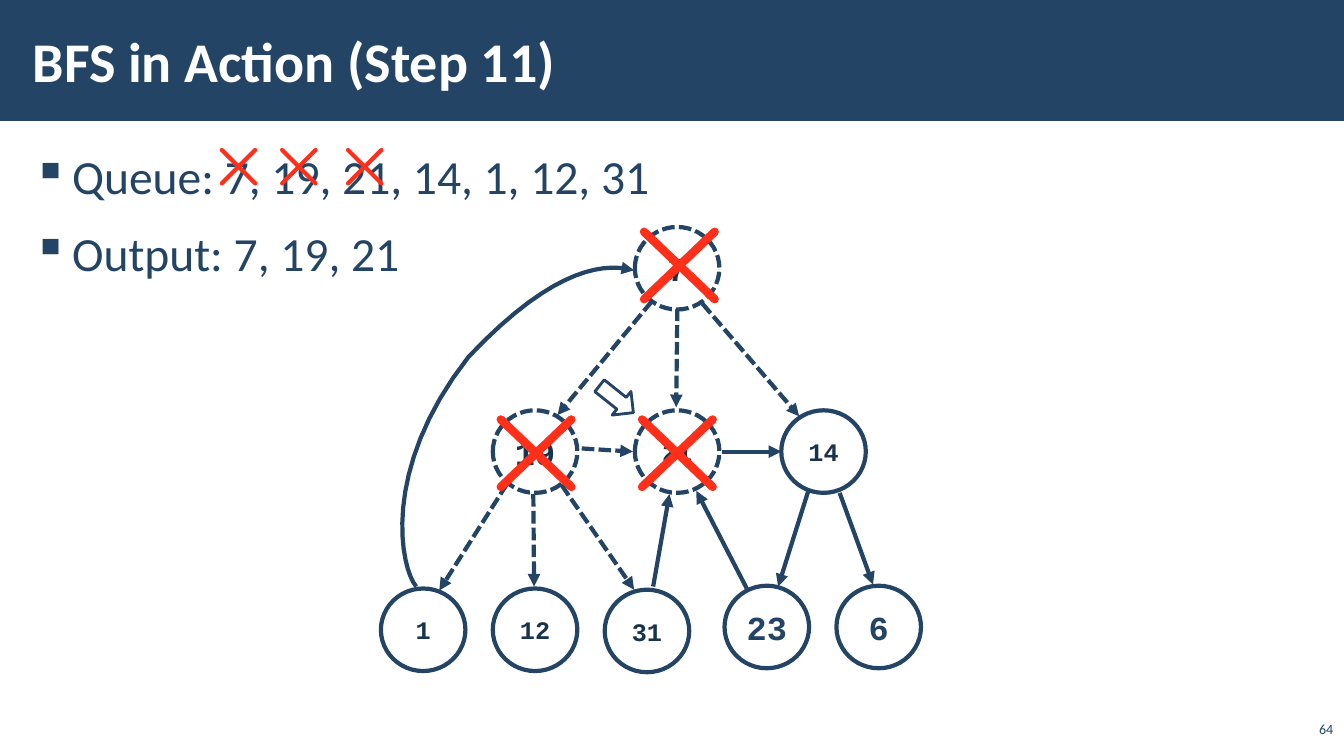
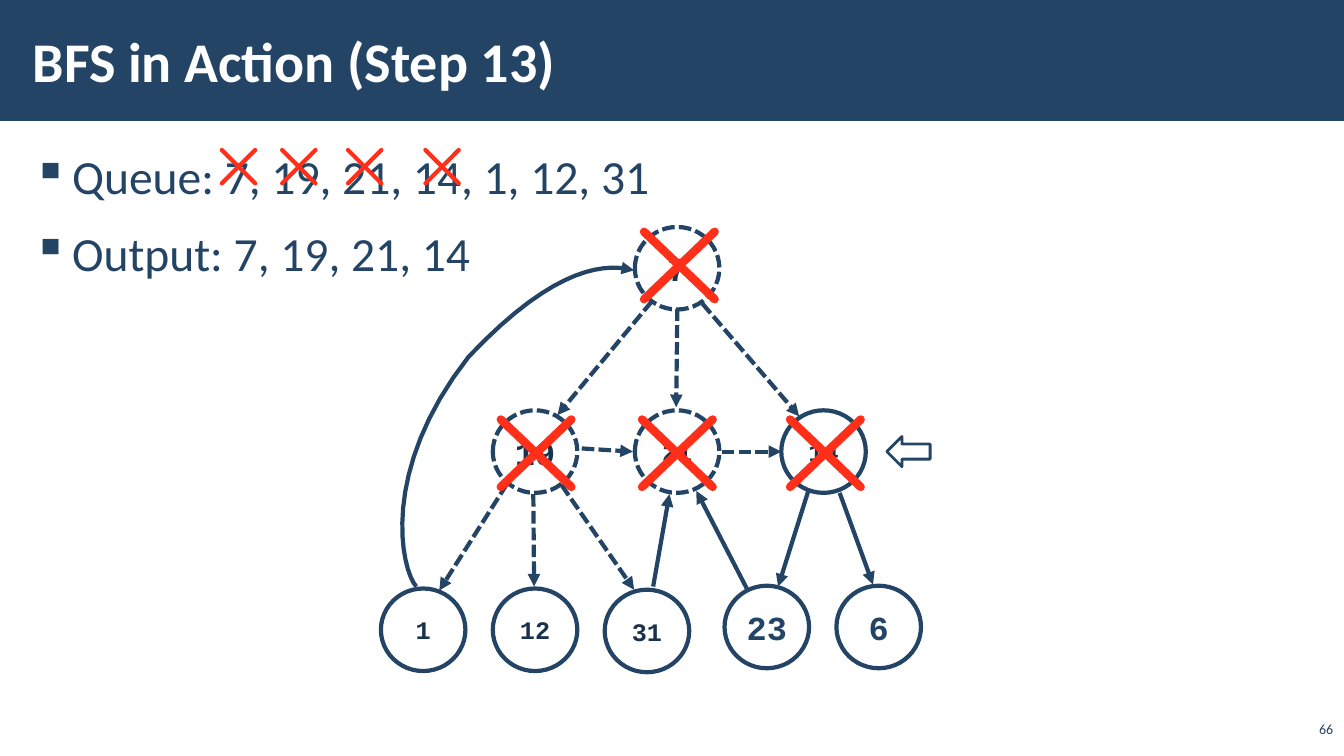
from dataclasses import dataclass

import lxml.etree
import pptx
import pptx.dml.color
import pptx.enum.dml
import pptx.enum.shapes
import pptx.enum.text
import pptx.oxml.ns
import pptx.util

Cm = pptx.util.Cm
Pt = pptx.util.Pt
qn = pptx.oxml.ns.qn
SHAPES = pptx.enum.shapes.MSO_SHAPE
ALIGN = pptx.enum.text.PP_ALIGN
ANCHOR = pptx.enum.text.MSO_ANCHOR


@dataclass(frozen=True)
class Theme:
    navy: str = "234465"
    label: str = "1A334C"
    leaf_label: str = "244465"
    red: str = "FF2F19"
    white: str = "FFFFFF"
    font: str = "Calibri"
    node_font: str = "Courier New"
    title_size: int = 40
    body_size: int = 34
    number_size: int = 10
    large_node: int = 24
    small_node: int = 18
    stroke: int = 3
    cross_stroke: int = 6
    arrow_stroke: int = 2


THEME = Theme()

QUEUE = "Queue: 7, 19, 21, 14, 1, 12, 31"
STEPS = [
    {"title": "BFS in Action (Step 11)", "number": "64",
     "visited": ["7", "19", "21"], "pointer": (14.99, 9.68, 38.5)},
    {"title": "BFS in Action (Step 13)", "number": "66",
     "visited": ["7", "19", "21", "14"], "pointer": (22.35, 11, 180)},
]

NODE_SIZE = (2.13, 2.08)
LARGE = (THEME.large_node, THEME.label, 70)
SMALL = (THEME.small_node, THEME.label, 70)
LEAF = (THEME.large_node, THEME.leaf_label, 50)
NODES = {
    "7": (16, 5.72, LARGE),
    "19": (12.42, 10.34, LARGE),
    "21": (16, 10.34, SMALL),
    "14": (19.69, 10.34, SMALL),
    "1": (9.6, 14.83, SMALL),
    "12": (12.42, 14.83, SMALL),
    "31": (15.24, 14.86, SMALL),
    "23": (18.26, 14.76, LEAF),
    "6": (21.08, 14.76, LEAF),
}
DASHED_NODES = {"7", "19", "21"}
EDGES = [
    ("7", (16.43, 7.59), (14.05, 10.46)),
    ("7", (17.07, 7.77), (17.04, 10.26)),
    ("7", (17.7, 7.65), (20.14, 10.49)),
    ("19", (14.66, 11.3), (15.95, 11.38)),
    ("19", (12.78, 12.19), (11.07, 14.88)),
    ("19", (13.44, 12.45), (13.46, 14.78)),
    ("19", (14.15, 12.22), (15.98, 14.86)),
    ("21", (18.19, 11.38), (19.69, 11.38)),
    ("14", (20.37, 12.37), (19.61, 14.78)),
    ("14", (21.16, 12.42), (22, 14.73)),
    ("31", (16.46, 14.78), (16.87, 12.45)),
    ("23", (18.82, 14.83), (17.55, 12.37)),
]
BACK_EDGE = [
    [(10.49, 14.78), (10.11, 14.35), (9.55, 11.86), (11.81, 8.99)],
    [(11.81, 8.99), (14.07, 6.6), (15.34, 6.65), (15.98, 6.81)],
]
CURVE_STEPS = 16
NODE_CROSSES = {"7": (16.23, 5.84), "19": (12.62, 10.57),
                "21": (16.18, 10.57), "14": (19.91, 10.57)}
NODE_CROSS_SIZE = (1.78, 1.7)
QUEUE_CROSSES = {"7": 5.59, "19": 7.11, "21": 8.77, "14": 10.72}
QUEUE_CROSS_TOP = 3.78
QUEUE_CROSS_SIZE = (0.84, 0.84)


def color(value):
    return pptx.dml.color.RGBColor.from_string(value)


def style_line(shape, value, width, dashed=False, arrow=False, rounded=False):
    shape.line.color.rgb = color(value)
    shape.line.width = Pt(width)
    if dashed:
        shape.line.dash_style = pptx.enum.dml.MSO_LINE.SQUARE_DOT
    outline = shape.element.spPr.find(qn("a:ln"))
    if rounded:
        outline.set("cap", "rnd")
    if arrow:
        lxml.etree.SubElement(outline, qn("a:tailEnd"), type="triangle")


def add_line(page, start, end, value, width, **options):
    line = page.shapes.add_connector(
        pptx.enum.shapes.MSO_CONNECTOR.STRAIGHT, *map(Cm, start + end))
    style_line(line, value, width, **options)
    lxml.etree.SubElement(line.element.spPr, qn("a:effectLst"))


def add_cross(page, left, top, size, width):
    right, bottom = left + size[0], top + size[1]
    for start, end in (((left, top), (right, bottom)), ((right, top), (left, bottom))):
        add_line(page, start, end, THEME.red, width, rounded=True)


def add_shape(page, kind, place, fill, opacity=100):
    shape = page.shapes.add_shape(kind, *map(Cm, place))
    shape.shadow.inherit = False
    shape.fill.solid()
    shape.fill.fore_color.rgb = color(fill)
    if opacity < 100:
        tint = shape.element.spPr.find(qn("a:solidFill"))[0]
        lxml.etree.SubElement(tint, qn("a:alpha"), val=str(opacity * 1000))
    return shape


def add_span(para, text, size, value, font=THEME.font, bold=False):
    span = para.add_run()
    span.text = text
    span.font.name = font
    span.font.size = Pt(size)
    span.font.bold = bold
    span.font.color.rgb = color(value)


def set_frame(frame, anchor, wrap, side, edge):
    frame.word_wrap = wrap
    frame.vertical_anchor = anchor
    frame.margin_left = frame.margin_right = Cm(side)
    frame.margin_top = frame.margin_bottom = Cm(edge)


def add_box(page, place, anchor=ANCHOR.TOP, side=0.3, edge=0.1):
    frame = page.shapes.add_textbox(*map(Cm, place)).text_frame
    set_frame(frame, anchor, True, side, edge)
    return frame


def add_frame(page, title, number):
    band = add_shape(page, SHAPES.RECTANGLE, (0, 0, 33.87, 3.05), THEME.navy)
    band.line.fill.background()
    heading = add_box(page, (0.53, 0.28, 27, 2.46), ANCHOR.MIDDLE)
    add_span(heading.paragraphs[0], title, THEME.title_size, THEME.white, bold=True)
    footer = add_box(page, (32.66, 18.14, 1.19, 0.56), ANCHOR.BOTTOM, 0.25, 0.13)
    footer.paragraphs[0].alignment = ALIGN.RIGHT
    add_span(footer.paragraphs[0], number, THEME.number_size, THEME.navy)


def add_bullets(page, lines):
    frame = add_box(page, (0.53, 3.54, 32.82, 15.15))
    for index, text in enumerate(lines):
        para = frame.add_paragraph() if index else frame.paragraphs[0]
        para.line_spacing = 1.05
        para.space_after = Pt(6)
        if index:
            para.space_before = Pt(6)
        indent = Cm(0.99)
        properties = para._p.get_or_add_pPr()
        properties.set("marL", str(indent))
        properties.set("indent", str(-indent))
        lxml.etree.SubElement(properties, qn("a:buChar"), char="▪")
        add_span(para, text, THEME.body_size, THEME.navy)


def add_node(page, name):
    left, top, (size, value, opacity) = NODES[name]
    node = add_shape(page, SHAPES.OVAL, (left, top) + NODE_SIZE, THEME.white, opacity)
    style_line(node, THEME.navy, THEME.stroke, dashed=name in DASHED_NODES)
    set_frame(node.text_frame, ANCHOR.MIDDLE, False, 0, 0)
    para = node.text_frame.paragraphs[0]
    para.alignment = ALIGN.CENTER
    add_span(para, name, size, value, THEME.node_font, True)


def curve_point(controls, t):
    weights = ((1 - t) ** 3, 3 * t * (1 - t) ** 2, 3 * t ** 2 * (1 - t), t ** 3)
    return tuple(Cm(sum(w * point[axis] for w, point in zip(weights, controls)))
                 for axis in (0, 1))


def add_back_edge(page):
    points = [curve_point(controls, step / CURVE_STEPS)
              for controls in BACK_EDGE for step in range(1, CURVE_STEPS + 1)]
    builder = page.shapes.build_freeform(*map(Cm, BACK_EDGE[0][0]))
    builder.add_line_segments(points, close=False)
    curve = builder.convert_to_shape()
    curve.shadow.inherit = False
    curve.fill.background()
    style_line(curve, THEME.navy, THEME.stroke, arrow=True)


def add_graph(page, visited, pointer):
    for source, start, end in EDGES:
        add_line(page, start, end, THEME.navy, THEME.stroke,
                 dashed=source in visited[:-1], arrow=True)
    add_back_edge(page)
    for name in NODES:
        add_node(page, name)
    for name in visited:
        add_cross(page, *NODE_CROSSES[name], NODE_CROSS_SIZE, THEME.cross_stroke)
    left, top, angle = pointer
    arrow = add_shape(page, SHAPES.RIGHT_ARROW, (left, top, 1.09, 0.76), THEME.white, 50)
    arrow.rotation = angle
    style_line(arrow, THEME.navy, THEME.arrow_stroke)


def main():
    deck = pptx.Presentation()
    deck.slide_width, deck.slide_height = Cm(33.87), Cm(19.05)
    for step in STEPS:
        page = deck.slides.add_slide(deck.slide_layouts[6])
        visited = step["visited"]
        add_frame(page, step["title"], step["number"])
        add_bullets(page, [QUEUE, "Output: " + ", ".join(visited)])
        for name in visited:
            add_cross(page, QUEUE_CROSSES[name], QUEUE_CROSS_TOP,
                      QUEUE_CROSS_SIZE, THEME.stroke)
        add_graph(page, visited, step["pointer"])
    deck.save("out.pptx")


if __name__ == "__main__":
    main()
